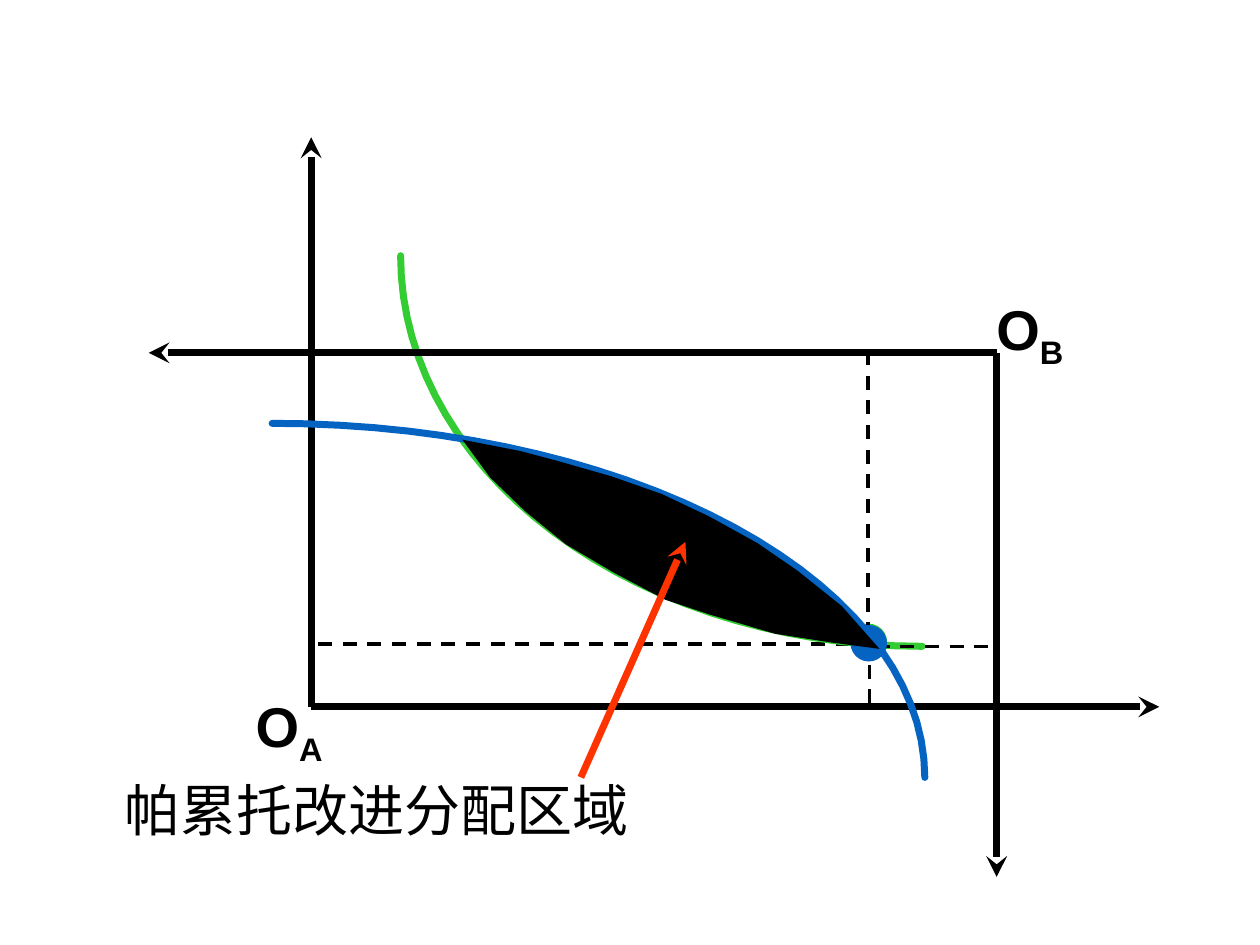
from math import cos, radians, sin

from lxml import etree
from pptx import Presentation
from pptx.dml.color import RGBColor
from pptx.enum.dml import MSO_LINE
from pptx.enum.shapes import MSO_CONNECTOR, MSO_SHAPE
from pptx.enum.text import MSO_AUTO_SIZE
from pptx.oxml.ns import qn
from pptx.util import Inches, Pt

STRAIGHT = MSO_CONNECTOR.STRAIGHT
OVAL = MSO_SHAPE.OVAL
DASH = MSO_LINE.DASH
FIT_SHAPE = MSO_AUTO_SIZE.SHAPE_TO_FIT_TEXT

COLORS = {"ink": "000000", "consumer_a": "33CC33", "consumer_b": "0563C1", "pointer": "FF3300"}
FONT = {"name": "Arial", "size": Pt(32)}
BOX = (2.47, 2.8, 5.44, 2.81)
DOT_SIZE = 0.29
CURVE_STEPS = 30
REGION_POINTS = [
    (1.2, 0.69), (1.42, 0.99), (1.7, 1.26), (2.02, 1.52), (2.41, 1.75),
    (2.81, 1.96), (3.17, 2.08), (3.68, 2.23), (4.13, 2.3), (4.51, 2.35),
    (4.21, 2.01), (3.86, 1.73), (3.54, 1.51), (3.16, 1.3), (2.78, 1.12),
    (2.38, 0.98), (1.96, 0.86), (1.66, 0.78),
]


def color(name):
    """Return the palette colour called name."""
    return RGBColor.from_string(COLORS[name])


def add_line(slide, box, start, end, color_name="ink", dashed=False):
    """Draw a solid or dashed line between two points of the box."""
    left, top = box[:2]
    line = slide.shapes.add_connector(
        STRAIGHT,
        Inches(left + start[0]), Inches(top + start[1]),
        Inches(left + end[0]), Inches(top + end[1]),
    )
    line.line.color.rgb = color(color_name)
    line.line.width = Pt(2 if dashed else 4)
    if dashed:
        line.line.dash_style = DASH
    etree.SubElement(line._element.spPr, qn("a:effectLst"))
    return line


def add_arrow(slide, box, start, end, color_name="ink"):
    """Draw a line with a stealth head at its end."""
    arrow = add_line(slide, box, start, end, color_name)
    etree.SubElement(arrow.line._get_or_add_ln(), qn("a:tailEnd"), type="stealth")


def add_outline(slide, box, points, close):
    """Build a freeform through points of the box."""
    left, top = box[:2]
    vertices = [(Inches(left + x), Inches(top + y)) for x, y in points]
    builder = slide.shapes.build_freeform(*vertices[0])
    builder.add_line_segments(vertices[1:], close=close)
    shape = builder.convert_to_shape()
    shape.shadow.inherit = False
    return shape


def add_indifference_curve(slide, box, center, radii, start_angle, color_name):
    """Draw a quarter ellipse as an open curve."""
    angles = [radians(start_angle + 90 * step / CURVE_STEPS) for step in range(CURVE_STEPS + 1)]
    points = [(center[0] + radii[0] * cos(a), center[1] + radii[1] * sin(a)) for a in angles]
    curve = add_outline(slide, box, points, False)
    curve.fill.background()
    curve.line.color.rgb = color(color_name)
    curve.line.width = Pt(4)
    curve.line._get_or_add_ln().set("cap", "rnd")


def add_endowment(slide, box, position, color_name):
    """Mark the endowment point with a dot."""
    dot = slide.shapes.add_shape(
        OVAL, Inches(box[0] + position[0]), Inches(box[1] + position[1]),
        Inches(DOT_SIZE), Inches(DOT_SIZE),
    )
    dot.shadow.inherit = False
    dot.fill.solid()
    dot.fill.fore_color.rgb = color(color_name)
    dot.line.fill.background()


def add_label(slide, box, position, size, text, subscript="", bold=False):
    """Write a label with an optional subscript."""
    text_box = slide.shapes.add_textbox(
        Inches(box[0] + position[0]), Inches(box[1] + position[1]), *map(Inches, size)
    )
    frame = text_box.text_frame
    frame.word_wrap = False
    frame.auto_size = FIT_SHAPE
    paragraph = frame.paragraphs[0]
    for content, baseline in ((text, 0), (subscript, -25000)):
        if not content:
            continue
        run = paragraph.add_run()
        run.text = content
        for attribute, value in {**FONT, "bold": bold}.items():
            setattr(run.font, attribute, value)
        run.font.color.rgb = color("ink")
        if baseline:
            run._r.get_or_add_rPr().set("baseline", str(baseline))


def add_consumer_a(slide, box):
    """Draw consumer A's axes, endowment and indifference curve."""
    width, height = box[2:]
    add_arrow(slide, box, (0, height), (0, -1.71))
    add_arrow(slide, box, (0, height), (width + 1.29, height))
    add_line(slide, box, (4.43, 2.28), (4.43, height), dashed=True)
    add_line(slide, box, (4.47, 2.31), (0, 2.31), dashed=True)
    add_endowment(slide, box, (4.28, 2.15), "consumer_a")
    add_label(slide, box, (-0.54, height - 0.17), (0.76, 0.63), "O", "A", True)
    add_indifference_curve(slide, box, (4.85, -0.77), (4.14, 3.1), 90, "consumer_a")


def add_consumer_b(slide, box):
    """Draw consumer B's axes, endowment and indifference curve."""
    width = box[2]
    add_arrow(slide, box, (width, 0), (width, 4.16))
    add_arrow(slide, box, (width, 0), (-1.29, 0))
    add_label(slide, box, (width - 0.1, -0.51), (0.76, 0.63), "O", "B", True)
    add_line(slide, box, (4.42, 2.25), (4.42, 0), dashed=True)
    add_line(slide, box, (4.48, 2.33), (width, 2.33), dashed=True)
    add_indifference_curve(slide, box, (-0.31, 3.37), (5.18, 2.81), 270, "consumer_b")
    add_endowment(slide, box, (4.28, 2.16), "consumer_b")


def add_pareto_region(slide, box):
    """Fill the lens between the curves and point its caption at it."""
    region = add_outline(slide, box, REGION_POINTS, True)
    region.fill.solid()
    region.fill.fore_color.rgb = color("ink")
    region.line.fill.background()
    add_arrow(slide, box, (2.14, 3.37), (2.97, 1.5), "pointer")
    add_label(slide, box, (-1.58, 3.31), (4.24, 0.64), "帕累托改进分配区域")


def main():
    """Build and save the Edgeworth box slide."""
    presentation = Presentation()
    presentation.slide_width = Inches(10)
    presentation.slide_height = Inches(7.5)
    slide = presentation.slides.add_slide(presentation.slide_layouts[6])
    for add_part in (add_consumer_a, add_consumer_b, add_pareto_region):
        add_part(slide, BOX)
    presentation.save("out.pptx")


if __name__ == "__main__":
    main()
